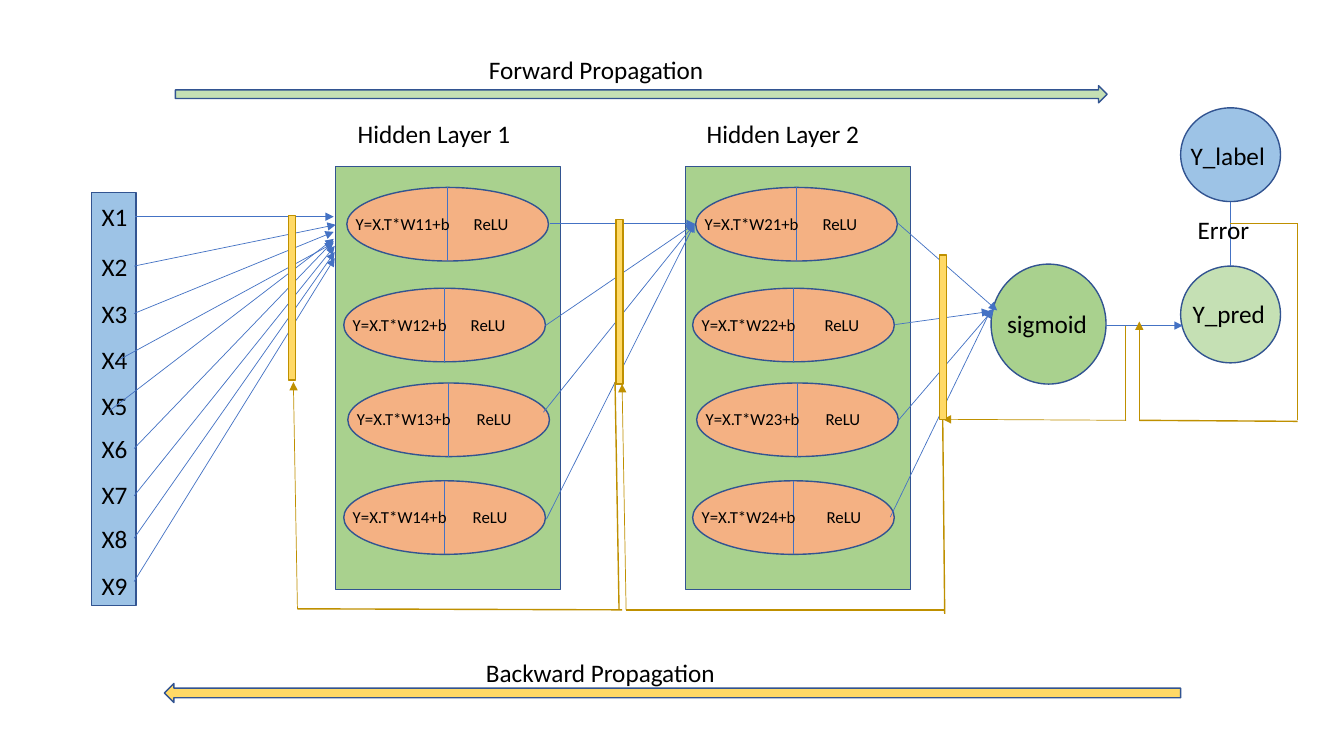
from dataclasses import dataclass

from lxml import etree
from pptx import Presentation
from pptx import util as u
from pptx.dml.color import RGBColor
from pptx.enum import shapes, text
from pptx.oxml.ns import qn

PX = 9144
SLIDE = (1333, 750)


@dataclass(frozen=True)
class Theme:
    font: str = "Calibri"
    ink: str = "000000"
    outline: str = "325491"
    blue: str = "9DC3E6"
    green: str = "A9D18E"
    pale: str = "C5E0B4"
    orange: str = "F4B183"
    yellow: str = "FFD966"
    forward: str = "4472C4"
    backward: str = "BF9000"
    label: int = 18
    formula: int = 12
    thin: float = 0.5
    thick: float = 1


T = Theme()

INPUT_BAR = (91, 191, 44, 410)
INPUT_TOPS = [195, 244, 291, 337, 382, 425, 471, 514, 561]
INPUT_ARROWS = [
    (134, 215, 331, 215), (133, 264, 333, 223), (133, 311, 331, 230),
    (118, 357, 331, 241), (108, 408, 331, 237), (133, 445, 331, 239),
    (133, 492, 332, 244), (133, 534, 332, 250), (133, 577, 332, 256),
]
LAYERS = [
    {"left": 333, "shift": 0, "relu": [460, 457, 463, 459]},
    {"left": 680, "shift": 346, "relu": [806, 808, 809, 810]},
]
LAYER_TOP, LAYER_W, LAYER_H = 165, 223, 420
NEURONS = [(344, 186), (341, 286), (345, 380), (341, 477)]
NEURON_W, NEURON_H = 200, 73
LAYER_ARROWS = [
    (545, 222, 689, 222), (541, 323, 689, 222),
    (539, 409, 689, 222), (542, 515, 689, 222),
    (890, 221, 989, 308), (888, 322, 982, 309),
    (891, 417, 986, 306), (883, 513, 983, 307),
    (1097, 323, 1173, 323),
]
ERROR_LINE = (1220, 200, 1220, 264)
NODES = [
    ((983, 262, 114, 119), T.green),
    ((1171, 107, 99, 93), T.blue),
    ((1171, 264, 99, 96), T.pale),
]
LABELS = [
    ("sigmoid", 989, 301, 128),
    ("Y_label", 1171, 134, 105),
    ("Y_pred", 1173, 291, 114),
    ("Error", 1178, 208, 75),
    ("Forward Propagation", 475, 49, 362),
    ("Backward Propagation", 472, 647, 362),
]
FORWARD_ARROW = (174, 85, 924, 17)
BACKWARD_ARROW = (163, 678, 1008, 19)
FEEDBACK_LINES = [
    (1220, 222, 1287, 222), (1287, 222, 1287, 417), (1287, 418, 1130, 417),
    (1116, 323, 1116, 418), (935, 416, 937, 609), (621, 605, 937, 605),
    (610, 379, 614, 604), (295, 604, 617, 605),
]
FEEDBACK_ARROWS = [
    (1130, 418, 1130, 319), (1117, 417, 935, 416),
    (621, 605, 617, 381), (295, 604, 291, 379),
]
WEIGHT_BARS = [(286, 214), (611, 218), (932, 253)]
BAR_W, BAR_H = 7, 163

prs = Presentation()
prs.slide_width, prs.slide_height = (u.Emu(v * PX) for v in SLIDE)
s = prs.slides.add_slide(prs.slide_layouts[6])


def emu(*lengths):
    return [u.Emu(v * PX) for v in lengths]


def add_shape(kind, box, fill, outline=T.outline):
    sp = s.shapes.add_shape(kind, *emu(*box))
    sp.shadow.inherit = False
    sp.fill.solid()
    sp.fill.fore_color.rgb = RGBColor.from_string(fill)
    sp.line.color.rgb = RGBColor.from_string(outline)
    sp.line.width = u.Pt(T.thick)
    return sp


def add_label(words, x, y, w, size=T.label):
    h = 40 if size == T.label else 30
    tf = s.shapes.add_textbox(*emu(x, y, w, h)).text_frame
    tf.word_wrap = True
    tf.auto_size = text.MSO_AUTO_SIZE.SHAPE_TO_FIT_TEXT
    p = tf.paragraphs[0]
    p.text = words
    p.font.name = T.font
    p.font.size = u.Pt(size)
    p.font.color.rgb = RGBColor.from_string(T.ink)


def add_line(ends, color=T.forward, width=T.thin, arrow=False):
    c = s.shapes.add_connector(shapes.MSO_CONNECTOR.STRAIGHT, *emu(*ends))
    c.line.color.rgb = RGBColor.from_string(color)
    c.line.width = u.Pt(width)
    if arrow:
        etree.SubElement(c.line._get_or_add_ln(), qn("a:tailEnd"), type="triangle")
    etree.SubElement(c._element.spPr, qn("a:effectLst"))


def add_layer(number, layer):
    add_shape(RECT, (layer["left"], LAYER_TOP, LAYER_W, LAYER_H), T.green)
    add_label(f"Hidden Layer {number}", 345 + layer["shift"], 112, 193)
    for i, ((left, top), relu) in enumerate(zip(NEURONS, layer["relu"]), 1):
        x = left + layer["shift"]
        middle = x + NEURON_W // 2
        add_shape(OVAL, (x, top, NEURON_W, NEURON_H), T.orange)
        add_line((middle, top, middle, top + NEURON_H))
        add_label(f"Y=X.T*W{number}{i}+b", x - 1, top + 21, 122, T.formula)
        add_label("ReLU", relu, top + 21, 78, T.formula)


RECT = shapes.MSO_SHAPE.RECTANGLE
OVAL = shapes.MSO_SHAPE.OVAL

add_shape(RECT, INPUT_BAR, T.blue)
for i, top in enumerate(INPUT_TOPS, 1):
    add_label(f"X{i}", 91, top, 54)
for number, layer in enumerate(LAYERS, 1):
    add_layer(number, layer)
for box, fill in NODES:
    add_shape(OVAL, box, fill)
for ends in INPUT_ARROWS + LAYER_ARROWS:
    add_line(ends, arrow=True)
add_line(ERROR_LINE)

add_shape(shapes.MSO_SHAPE.RIGHT_ARROW, FORWARD_ARROW, T.pale)
add_shape(shapes.MSO_SHAPE.LEFT_ARROW, BACKWARD_ARROW, T.yellow)
for label in LABELS:
    add_label(*label)

for ends in FEEDBACK_LINES:
    add_line(ends, T.backward, T.thick)
for ends in FEEDBACK_ARROWS:
    add_line(ends, T.backward, arrow=True)
for x, y in WEIGHT_BARS:
    add_shape(RECT, (x, y, BAR_W, BAR_H), T.yellow, T.backward)

prs.save("out.pptx")
